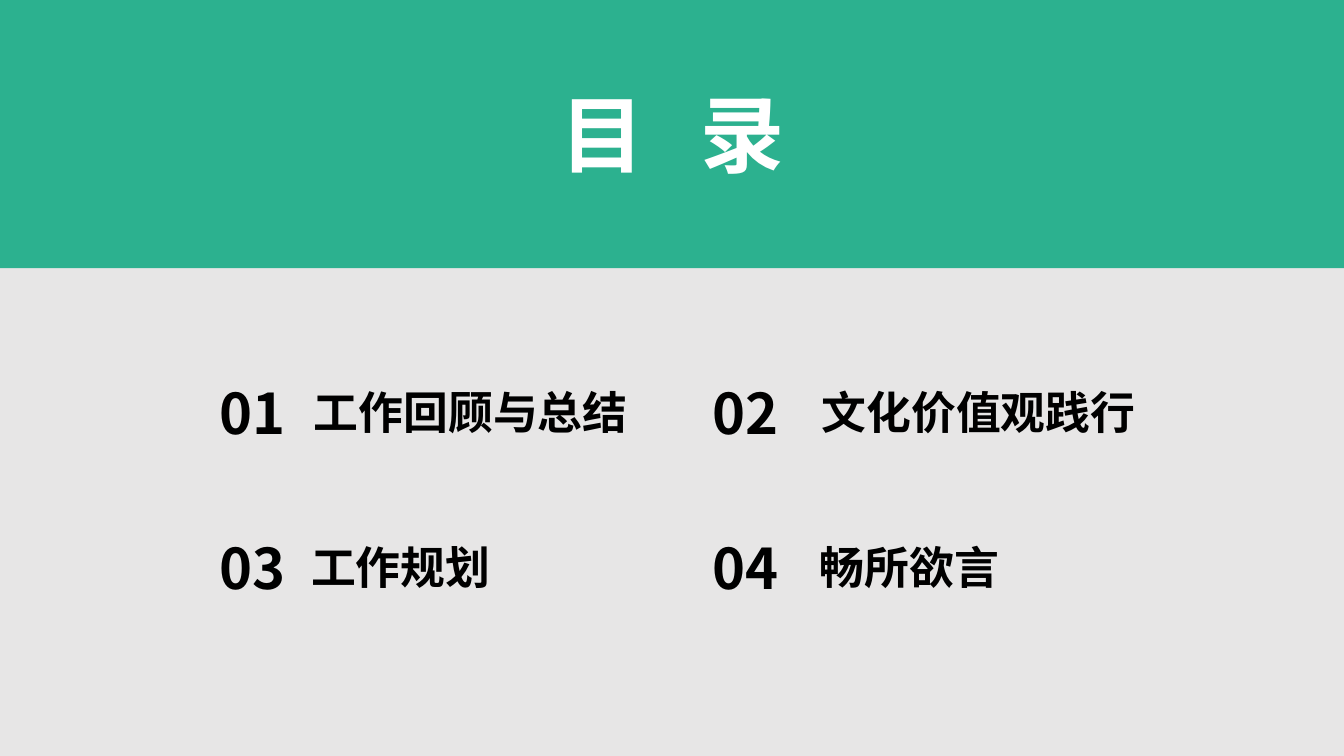
import pptx
import pptx.dml.color
import pptx.enum.shapes
import pptx.enum.text
import pptx.oxml
import pptx.oxml.ns
import pptx.util
from pptx.util import Inches

RGBColor = pptx.dml.color.RGBColor
PP_ALIGN = pptx.enum.text.PP_ALIGN
MSO_SHAPE = pptx.enum.shapes.MSO_SHAPE

GREEN = RGBColor(0x2C, 0xB1, 0x8F)
GRAY = RGBColor(0xE7, 0xE6, 0xE6)
BLACK = RGBColor(0x00, 0x00, 0x00)
WHITE = RGBColor(0xFF, 0xFF, 0xFF)


class AgendaSlide:
    font_name = "Noto Sans CJK SC"

    def __init__(self, presentation):
        self.slide = presentation.slides.add_slide(presentation.slide_layouts[6])
        background = self.slide.background.fill
        background.solid()
        background.fore_color.rgb = GRAY

    def style(self, paragraph, size, color, align):
        paragraph.alignment = align
        font = paragraph.font
        font.size = pptx.util.Pt(size)
        font.bold = True
        font.color.rgb = color
        font.name = self.font_name
        # East Asian glyphs take their typeface from a:ea
        defaults = paragraph._p.pPr.find(pptx.oxml.ns.qn("a:defRPr"))
        defaults.append(pptx.oxml.parse_xml(
            f'<a:ea {pptx.oxml.ns.nsdecls("a")} typeface="{self.font_name}"/>'))

    def shape(self, preset, left, top, width, height, fill=None):
        shape = self.slide.shapes.add_shape(
            preset, Inches(left), Inches(top), Inches(width), Inches(height))
        shape.shadow.inherit = False
        shape.line.fill.background()
        if fill is None:
            shape.fill.background()
        else:
            shape.fill.solid()
            shape.fill.fore_color.rgb = fill
        return shape

    def number(self, text, left, top):
        circle = self.shape(MSO_SHAPE.OVAL, left, top, 1.27, 1.16)
        circle.text_frame.vertical_anchor = pptx.enum.text.MSO_ANCHOR.MIDDLE
        paragraph = circle.text_frame.paragraphs[0]
        paragraph.add_run().text = text
        self.style(paragraph, 40, BLACK, PP_ALIGN.CENTER)

    def text(self, parts, left, top, width, height, size, color,
             align=PP_ALIGN.CENTER):
        """Each part is a pair: text and extra letter spacing in points."""
        box = self.slide.shapes.add_textbox(
            Inches(left), Inches(top), Inches(width), Inches(height))
        box.text_frame.word_wrap = True
        paragraph = box.text_frame.paragraphs[0]
        for wording, spacing in parts:
            run = paragraph.add_run()
            run.text = wording
            if spacing:
                run._r.get_or_add_rPr().set("spc", str(spacing * 100))
        self.style(paragraph, size, color, align)


def main():
    presentation = pptx.Presentation()
    presentation.slide_width = Inches(13.33)
    presentation.slide_height = Inches(7.5)
    agenda = AgendaSlide(presentation)

    # Chapters in a two-by-two grid: label, left edge, width, alignment
    chapters = [
        ("工作回顾与总结", 2.79, 3.76, PP_ALIGN.CENTER),
        ("文化价值观践行", 8.05, 3.42, PP_ALIGN.JUSTIFY),
        ("工作规划", 2.5, 2.95, PP_ALIGN.CENTER),
        ("畅所欲言", 7.68, 2.68, PP_ALIGN.CENTER),
    ]
    for index, (label, left, width, align) in enumerate(chapters):
        row, column = divmod(index, 2)
        top = 3.51 + 1.54 * row
        agenda.number(f"{index + 1:02d}", 1.87 + 4.89 * column, top)
        agenda.text([(label, 0)], left, top + 0.26, width, 0.64, 32, BLACK, align)

    # Title band, with the two characters set wide apart
    agenda.shape(MSO_SHAPE.RECTANGLE, 0, 0, 13.33, 2.66, GREEN)
    agenda.text([("目", 0), (" ", 27), ("录", 0)], 4.74, 0.77, 3.86, 1.11, 60, WHITE)

    presentation.save("out.pptx")


if __name__ == "__main__":
    main()
